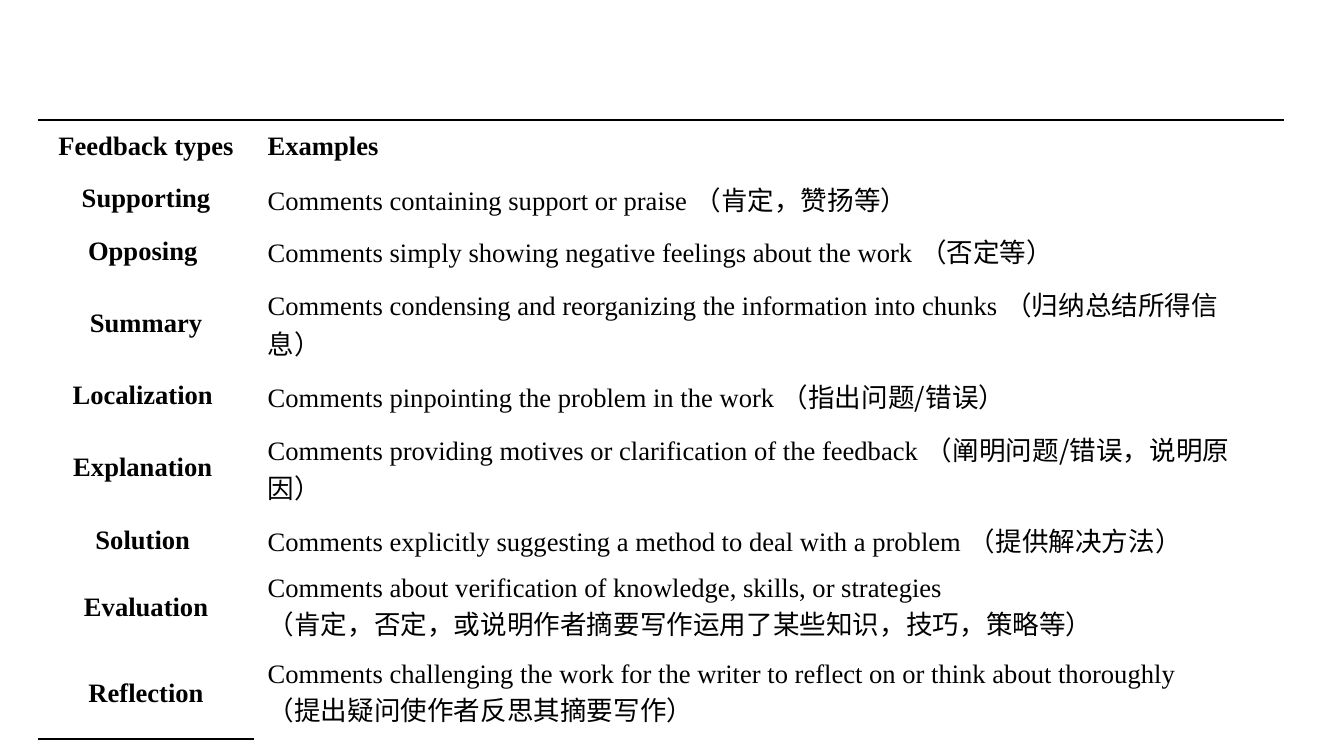
import pptx
import pptx.util
import pptx.dml.color
import pptx.enum.text
import pptx.oxml
import pptx.oxml.ns

Inch = pptx.util.Inches
Align = pptx.enum.text.PP_ALIGN
INK = {"text": "000000", "rule": "000000"}
FONT = {"en": "Times New Roman", "zh": "Noto Sans CJK SC"}
PLAIN = "{2D5ABB26-0587-4C30-8999-92F81FD0307C}"

# Label, English example, Chinese gloss, gloss on its own line, row height
ROWS = [
    ("Feedback types", "Examples", "", False, 0.38),
    ("Supporting", "Comments containing support or praise ",
     "（肯定，赞扬等）", False, 0.38),
    ("Opposing ", "Comments simply showing negative feelings about the work ",
     "（否定等）", False, 0.39),
    ("Summary", "Comments condensing and reorganizing the information into chunks ",
     "（归纳总结所得信息）", False, 0.43),
    ("Localization ", "Comments pinpointing the problem in the work ",
     "（指出问题/错误）", False, 0.39),
    ("Explanation ", "Comments providing motives or clarification of the feedback ",
     "（阐明问题/错误，说明原因）", False, 0.39),
    ("Solution ", "Comments explicitly suggesting a method to deal with a problem ",
     "（提供解决方法）", False, 0.39),
    ("Evaluation", "Comments about verification of knowledge, skills, or strategies",
     "（肯定，否定，或说明作者摘要写作运用了某些知识，技巧，策略等）", True, 0.42),
    ("Reflection",
     "Comments challenging the work for the writer to reflect on or think about thoroughly",
     "（提出疑问使作者反思其摘要写作）", True, 0.66),
]
COLS = (1.58, 7.54)


def write(para, text, face="en", bold=False, align=Align.LEFT):
    para.alignment = align
    run = para.add_run()
    run.text = text
    font = run.font
    font.name = FONT[face]
    font.size = pptx.util.Pt(14)
    font.bold = bold
    font.color.rgb = pptx.dml.color.RGBColor.from_string(INK["text"])
    if face == "zh":
        east = pptx.oxml.parse_xml(
            f'<a:ea {pptx.oxml.ns.nsdecls("a")} typeface="{FONT[face]}"/>')
        run._r.rPr.find(pptx.oxml.ns.qn("a:latin")).addnext(east)


def rule(cell, side):
    line = pptx.oxml.parse_xml(
        f'<a:{side} {pptx.oxml.ns.nsdecls("a")} w="12700"><a:solidFill>'
        f'<a:srgbClr val="{INK["rule"]}"/></a:solidFill></a:{side}>')
    cell._tc.get_or_add_tcPr().insert(0, line)


# Slide
deck = pptx.Presentation()
deck.slide_width, deck.slide_height = Inch(9.84), Inch(5.51)
slide = deck.slides.add_slide(deck.slide_layouts[6])

# Table grid without banding
frame = slide.shapes.add_table(
    len(ROWS), len(COLS), Inch(0.28), Inch(0.88),
    Inch(sum(COLS)), Inch(sum(row[-1] for row in ROWS)))
table = frame.table
table.first_row = table.horz_banding = False
table._tbl.tblPr.find(pptx.oxml.ns.qn("a:tableStyleId")).text = PLAIN
for col, width in zip(table.columns, COLS):
    col.width = Inch(width)

# Rows of feedback types and examples
for i, (label, text, gloss, split, height) in enumerate(ROWS):
    table.rows[i].height = Inch(height)
    left, right = table.cell(i, 0), table.cell(i, 1)
    for cell in (left, right):
        cell.fill.background()
        cell.vertical_anchor = pptx.enum.text.MSO_ANCHOR.MIDDLE
    write(left.text_frame.paragraphs[0], label, bold=True, align=Align.CENTER)
    para = right.text_frame.paragraphs[0]
    write(para, text, bold=i == 0)
    if split:
        para = right.text_frame.add_paragraph()
    if gloss:
        write(para, gloss, face="zh")

# Rules above the header and below the last label
for cell in table.rows[0].cells:
    rule(cell, "lnT")
rule(table.cell(len(ROWS) - 1, 0), "lnB")

deck.save("out.pptx")
